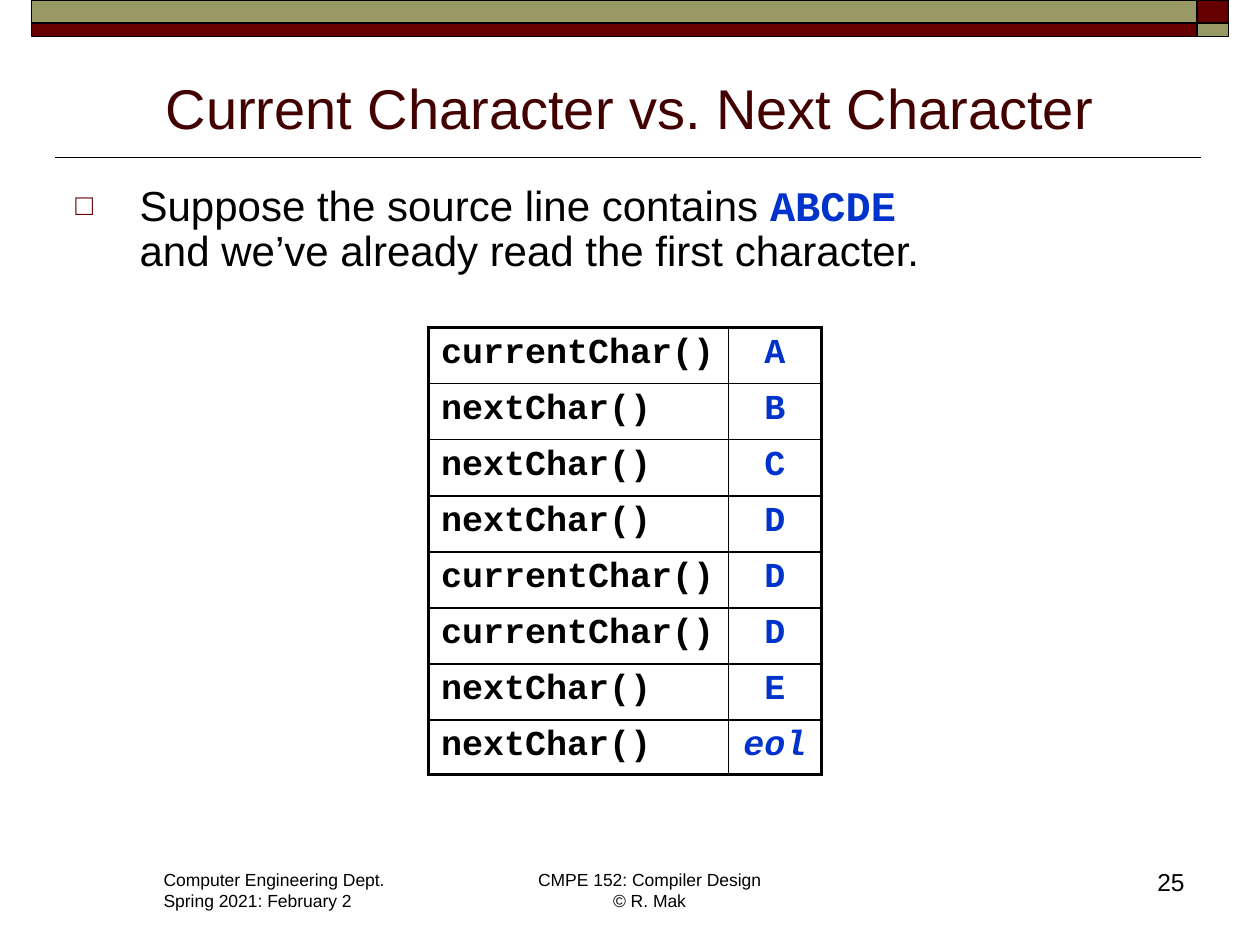
"""Build the slide on current and next characters of a source line."""
from lxml.etree import SubElement
from pptx import Presentation
from pptx.dml.color import RGBColor
from pptx.enum.shapes import MSO_CONNECTOR, MSO_SHAPE
from pptx.enum.text import MSO_ANCHOR, MSO_AUTO_SIZE, PP_ALIGN
from pptx.oxml.ns import qn
from pptx.util import Inches, Pt

BLACK = RGBColor(0x00, 0x00, 0x00)
MAROON = RGBColor(0x66, 0x00, 0x00)
DARK_MAROON = RGBColor(0x42, 0x00, 0x00)
OLIVE = RGBColor(0x99, 0x99, 0x66)
BLUE = RGBColor(0x00, 0x33, 0xCC)
CODE_FONT = "Courier New"
THICK, THIN = 2.25, 1

CALLS = [
    ("currentChar()", "A"),
    ("nextChar()", "B"),
    ("nextChar()", "C"),
    ("nextChar()", "D"),
    ("currentChar()", "D"),
    ("currentChar()", "D"),
    ("nextChar()", "E"),
    ("nextChar()", "eol"),
]


def write(para, text, size=24, color=BLACK, font="Arial", bold=False, italic=False, align=None):
    if align is not None:
        para.alignment = align
    for number, line in enumerate(text.split("\n")):
        if number:
            para.add_line_break()
        if line:
            span = para.add_run()
            span.text = line
            span.font.size = Pt(size)
            span.font.name = font
            span.font.bold = bold
            span.font.italic = italic
            span.font.color.rgb = color


def add_bullet(para, symbol, color, percent, indent):
    properties = para._p.get_or_add_pPr()
    properties.set("marL", str(indent))
    properties.set("indent", str(-indent))
    bullet_color = SubElement(properties, qn("a:buClr"))
    SubElement(bullet_color, qn("a:srgbClr"), val=str(color))
    SubElement(properties, qn("a:buSzPct"), val=str(percent * 1000))
    SubElement(properties, qn("a:buFont"), typeface="Arial")
    SubElement(properties, qn("a:buChar"), char=symbol)


def add_borders(cell, left, right, top, bottom):
    properties = cell._tc.get_or_add_tcPr()
    for side, width in zip("LRTB", (left, right, top, bottom)):
        border = SubElement(properties, qn(f"a:ln{side}"), w=str(Pt(width)))
        fill = SubElement(border, qn("a:solidFill"))
        SubElement(fill, qn("a:srgbClr"), val=str(BLACK))


class SlideBuilder:
    def __init__(self, page):
        self.page = page
        self.shapes = page.shapes

    def title(self, text, left, top, width, height):
        box = self.shapes.title
        box.left, box.top = Inches(left), Inches(top)
        box.width, box.height = Inches(width), Inches(height)
        frame = box.text_frame
        frame.auto_size = MSO_AUTO_SIZE.NONE
        frame.vertical_anchor = MSO_ANCHOR.BOTTOM
        write(frame.paragraphs[0], text, size=32, color=DARK_MAROON, align=PP_ALIGN.CENTER)

    def bar(self, left, top, width, height, color):
        box = self.shapes.add_shape(
            MSO_SHAPE.RECTANGLE, Inches(left), Inches(top), Inches(width), Inches(height))
        box.shadow.inherit = False
        box.fill.solid()
        box.fill.fore_color.rgb = color
        box.line.color.rgb = BLACK
        box.line.width = Pt(THIN)

    def rule(self, left, right, top):
        line = self.shapes.add_connector(
            MSO_CONNECTOR.STRAIGHT, Inches(left), Inches(top), Inches(right), Inches(top))
        line.line.color.rgb = BLACK
        line.line.width = Pt(THIN)
        SubElement(line._element.spPr, qn("a:effectLst"))

    def text(self, left, top, width, height, lines=(), wrap=True, **style):
        box = self.shapes.add_textbox(Inches(left), Inches(top), Inches(width), Inches(height))
        frame = box.text_frame
        frame.word_wrap = wrap
        for number, line in enumerate(lines):
            para = frame.add_paragraph() if number else frame.paragraphs[0]
            write(para, line, **style)
        return frame

    def table(self, rows, left, top, widths, row_height, last_height):
        heights = [row_height] * (len(rows) - 1) + [last_height]
        grid = self.shapes.add_table(
            len(rows), len(widths), Inches(left), Inches(top),
            Inches(sum(widths)), Inches(sum(heights))).table
        grid.first_row = grid.horz_banding = False
        for column, width in zip(grid.columns, widths):
            column.width = Inches(width)
        for row, height in zip(grid.rows, heights):
            row.height = Inches(height)
        last = len(rows) - 1
        for number, (call, result) in enumerate(rows):
            top_width = THIN if number else THICK
            bottom_width = THICK if number == last else THIN
            call_cell, result_cell = grid.cell(number, 0), grid.cell(number, 1)
            add_borders(call_cell, THICK, THIN, top_width, bottom_width)
            add_borders(result_cell, THIN, THICK, top_width, bottom_width)
            call_cell.fill.background()
            result_cell.fill.background()
            write(call_cell.text_frame.paragraphs[0], call, size=20, font=CODE_FONT, bold=True)
            write(result_cell.text_frame.paragraphs[0], result, size=20, color=BLUE,
                  font=CODE_FONT, bold=True, italic=result == "eol", align=PP_ALIGN.CENTER)


def main():
    deck = Presentation()
    deck.slide_width, deck.slide_height = Inches(10), Inches(7.5)
    slide = SlideBuilder(deck.slides.add_slide(deck.slide_layouts[5]))

    slide.rule(0.44, 9.53, 1.25)
    for top, height, wide_color, corner_color in (
            (0, 0.18, OLIVE, MAROON), (0.18, 0.11, MAROON, OLIVE)):
        slide.bar(0.25, top, 9.25, height, wide_color)
        slide.bar(9.5, top, 0.25, height, corner_color)

    slide.title("Current Character vs. Next Character", 0.5, 0.45, 9, 0.72)

    para = slide.text(0.5, 1.42, 9.02, 0.83).paragraphs[0]
    para.line_spacing = 0.9
    add_bullet(para, "□", MAROON, 70, Inches(0.51))
    write(para, "Suppose the source line contains ")
    write(para, "ABCDE \n", color=BLUE, font=CODE_FONT, bold=True)
    write(para, "and we’ve already read the first character.")

    slide.table(CALLS, 3.4, 2.6, (2.38, 0.74), 0.445, 0.41)

    slide.text(1.2, 6.85, 1.97, 0.44, ["Computer Engineering Dept.", "Spring 2021: February 2"],
               wrap=False, size=10)
    slide.text(4.16, 6.85, 1.99, 0.44, ["CMPE 152: Compiler Design\n© R. Mak"],
               wrap=False, size=10, align=PP_ALIGN.CENTER)
    slide.text(7.42, 6.83, 2.08, 0.5, ["25"], size=14, align=PP_ALIGN.RIGHT)

    deck.save("out.pptx")


if __name__ == "__main__":
    main()
